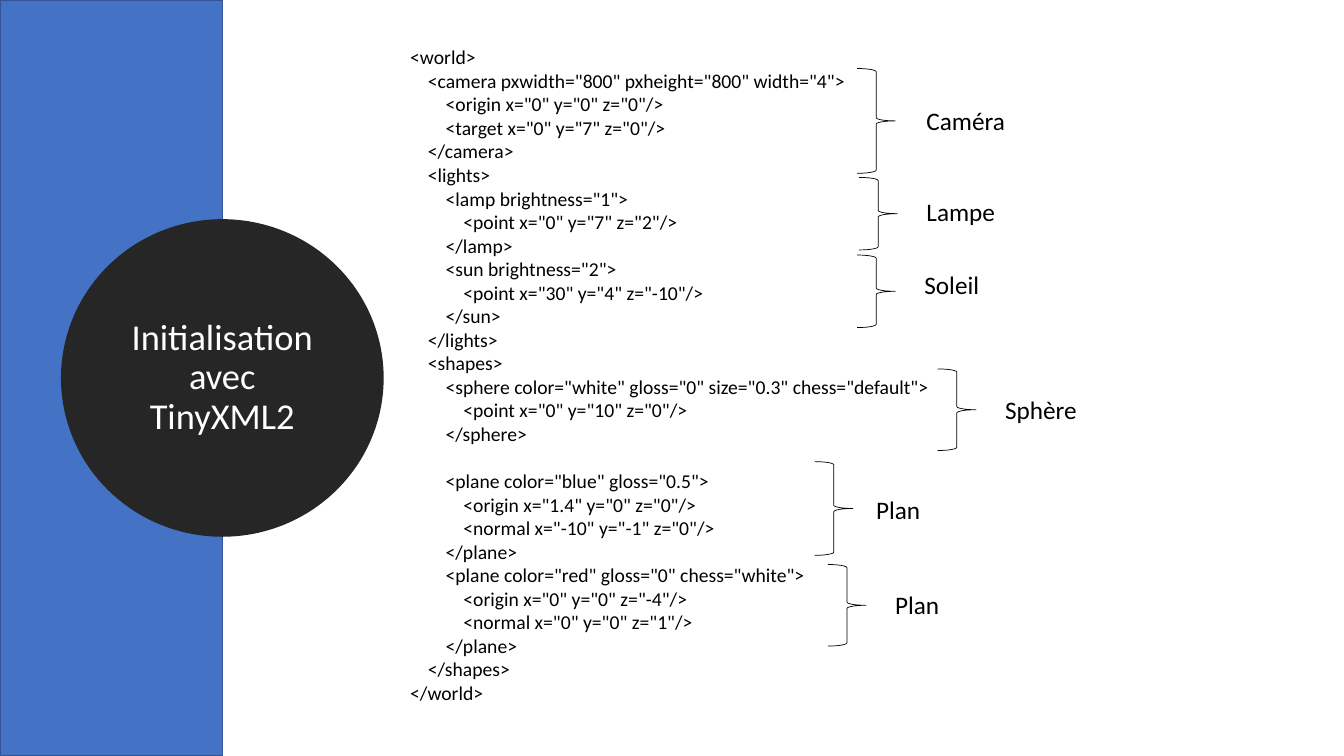
"""Build the slide on scene initialisation with TinyXML2."""
from pptx import Presentation
from pptx.dml.color import RGBColor
from pptx.enum.shapes import MSO_SHAPE
from pptx.enum.text import MSO_ANCHOR, MSO_AUTO_SIZE, PP_ALIGN
from pptx.util import Inches, Pt

TITLE = "Initialisation avec TinyXML2"
SCENE = [
    '<world>',
    '<camera pxwidth="800" pxheight="800" width="4">',
    '<origin x="0" y="0" z="0"/>',
    '<target x="0" y="7" z="0"/>',
    '</camera>',
    '<lights>',
    '<lamp brightness="1">',
    '<point x="0" y="7" z="2"/>',
    '</lamp>',
    '<sun brightness="2">',
    '<point x="30" y="4" z="-10"/>',
    '</sun>',
    '</lights>',
    '<shapes>',
    '<sphere color="white" gloss="0" size="0.3" chess="default">',
    '<point x="0" y="10" z="0"/>',
    '</sphere>',
    '<plane color="blue" gloss="0.5">',
    '<origin x="1.4" y="0" z="0"/>',
    '<normal x="-10" y="-1" z="0"/>',
    '</plane>',
    '<plane color="red" gloss="0" chess="white">',
    '<origin x="0" y="0" z="-4"/>',
    '<normal x="0" y="0" z="1"/>',
    '</plane>',
    '</shapes>',
    '</world>',
]
FIRST_PLANE = SCENE.index('<plane color="blue" gloss="0.5">')
# label, brace left, brace top, brace height, label left, label top
ANNOTATIONS = [
    ("Caméra", 8.5, 0.68, 1.04, 9.09, 1.0),
    ("Lampe", 8.52, 1.76, 0.72, 9.09, 1.9),
    ("Soleil", 8.5, 2.53, 0.72, 9.07, 2.62),
    ("Sphère", 9.3, 3.66, 0.81, 9.87, 3.86),
    ("Plan", 8.08, 4.58, 0.93, 8.59, 4.86),
    ("Plan", 8.21, 5.6, 0.81, 8.78, 5.8),
]
BRACE_WIDTH, LABEL_WIDTH, LABEL_HEIGHT = 0.38, 1.62, 0.4
INDENT = 0.176
CODE_LINE = Pt(17)

BLACK = RGBColor(0x00, 0x00, 0x00)
WHITE = RGBColor(0xFF, 0xFF, 0xFF)
BLUE = RGBColor(0x44, 0x72, 0xC4)
DARK_BLUE = RGBColor(0x32, 0x54, 0x91)
CHARCOAL = RGBColor(0x26, 0x26, 0x26)


def add_outline(slide, preset, box, line, weight, fill=None):
    outline = slide.shapes.add_shape(preset, *map(Inches, box))
    outline.shadow.inherit = False
    if fill is None:
        outline.fill.background()
    else:
        outline.fill.solid()
        outline.fill.fore_color.rgb = fill
    outline.line.color.rgb = line
    outline.line.width = Pt(weight)
    return outline


def add_frame(slide, box):
    frame = slide.shapes.add_textbox(*map(Inches, box)).text_frame
    for attribute, value in {"word_wrap": True, "auto_size": MSO_AUTO_SIZE.SHAPE_TO_FIT_TEXT}.items():
        setattr(frame, attribute, value)
    return frame


def write(paragraph, text, size, color):
    run = paragraph.add_run()
    run.text = text
    for attribute, value in {"name": "Calibri", "size": Pt(size)}.items():
        setattr(run.font, attribute, value)
    run.font.color.rgb = color


def add_scene(slide):
    frame = add_frame(slide, (3.97, 0.4, 6.43, 6.7))
    depth = 0
    for number, tag in enumerate(SCENE):
        paragraph = frame.add_paragraph() if number else frame.paragraphs[0]
        if tag.startswith("</"):
            depth -= 1
        paragraph._p.get_or_add_pPr().set("marL", str(Inches(INDENT * depth)))
        if number == FIRST_PLANE:
            paragraph.space_before = CODE_LINE
        write(paragraph, tag, 14, BLACK)
        if not tag.startswith("</") and not tag.endswith("/>"):
            depth += 1


def add_annotations(slide):
    for label, brace_left, brace_top, brace_height, left, top in ANNOTATIONS:
        brace = (brace_left, brace_top, BRACE_WIDTH, brace_height)
        add_outline(slide, MSO_SHAPE.RIGHT_BRACE, brace, BLACK, 0.5)
        frame = add_frame(slide, (left, top, LABEL_WIDTH, LABEL_HEIGHT))
        write(frame.paragraphs[0], label, 18, BLACK)


def add_title(slide):
    add_outline(slide, MSO_SHAPE.RECTANGLE, (0, 0, 2.21, 7.5), DARK_BLUE, 1, BLUE)
    disc = add_outline(slide, MSO_SHAPE.OVAL, (0.7, 2.27, 3.01, 2.96), CHARCOAL, 13.75, CHARCOAL)
    frame = disc.text_frame
    for attribute, value in {"word_wrap": True, "vertical_anchor": MSO_ANCHOR.MIDDLE}.items():
        setattr(frame, attribute, value)
    heading = frame.paragraphs[0]
    for attribute, value in {"alignment": PP_ALIGN.CENTER, "line_spacing": 0.9}.items():
        setattr(heading, attribute, value)
    write(heading, TITLE, 26, WHITE)


def main():
    deck = Presentation()
    deck.slide_width, deck.slide_height = Inches(13.33), Inches(7.5)
    slide = deck.slides.add_slide(deck.slide_layouts[6])
    add_scene(slide)
    add_annotations(slide)
    add_title(slide)
    deck.save("out.pptx")


if __name__ == "__main__":
    main()
